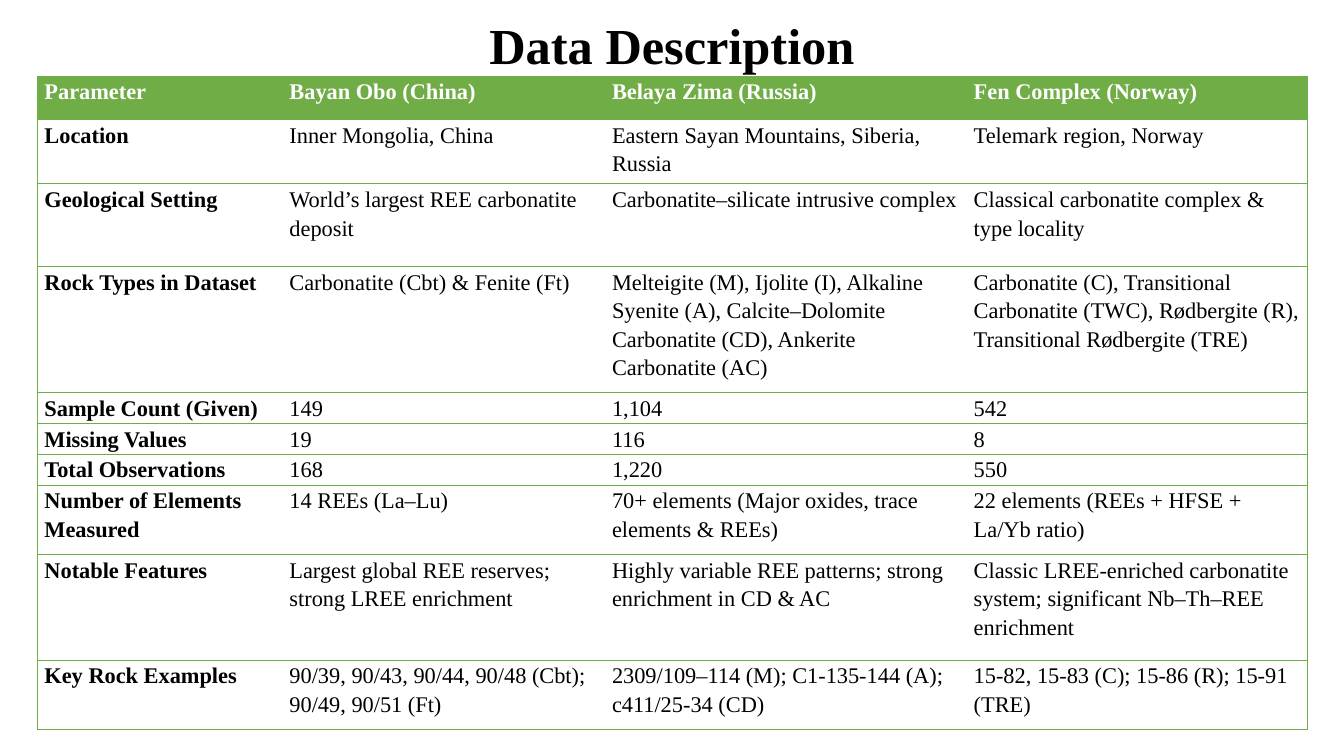
from typing import NamedTuple

from lxml.etree import SubElement
from pptx import Presentation
from pptx.dml.color import RGBColor
from pptx.enum.text import MSO_AUTO_SIZE as Fit, PP_ALIGN as Align
from pptx.oxml.ns import qn
from pptx.table import Table, _Cell as Cell
from pptx.text.text import _Paragraph as Para
from pptx.util import Pt

GREEN = RGBColor(0x70, 0xAD, 0x47)
WHITE = RGBColor(0xFF, 0xFF, 0xFF)
BLACK = RGBColor(0, 0, 0)
FONT = "Times New Roman"


class Row(NamedTuple):
    height: float
    texts: tuple[str, str, str, str]


WIDTHS = (175, 230.4, 258.4, 243.4)
ROWS = (
    Row(31, ("Parameter", "Bayan Obo (China)", "Belaya Zima (Russia)",
             "Fen Complex (Norway)")),
    Row(46, ("Location", "Inner Mongolia, China",
             "Eastern Sayan Mountains, Siberia, Russia",
             "Telemark region, Norway")),
    Row(59, ("Geological Setting", "World’s largest REE carbonatite deposit",
             "Carbonatite–silicate intrusive complex",
             "Classical carbonatite complex & type locality")),
    Row(90, ("Rock Types in Dataset", "Carbonatite (Cbt) & Fenite (Ft)",
             "Melteigite (M), Ijolite (I), Alkaline Syenite (A), "
             "Calcite–Dolomite Carbonatite (CD), Ankerite Carbonatite (AC)",
             "Carbonatite (C), Transitional Carbonatite (TWC), "
             "Rødbergite (R), Transitional Rødbergite (TRE)")),
    Row(22, ("Sample Count (Given)", "149", "1,104", "542")),
    Row(22, ("Missing Values", "19", "116", "8")),
    Row(22, ("Total Observations", "168", "1,220", "550")),
    Row(49.5, ("Number of Elements Measured", "14 REEs (La–Lu)",
               "70+ elements (Major oxides, trace elements & REEs)",
               "22 elements (REEs + HFSE + La/Yb ratio)")),
    Row(75.5, ("Notable Features",
               "Largest global REE reserves; strong LREE enrichment",
               "Highly variable REE patterns; strong enrichment in CD & AC",
               "Classic LREE-enriched carbonatite system; "
               "significant Nb–Th–REE enrichment")),
    Row(49.5, ("Key Rock Examples",
               "90/39, 90/43, 90/44, 90/48 (Cbt); 90/49, 90/51 (Ft)",
               "2309/109–114 (M); C1-135-144 (A); c411/25-34 (CD)",
               "15-82, 15-83 (C); 15-86 (R); 15-91 (TRE)")),
)


def style(para: Para, size: float, color: RGBColor, bold: bool) -> None:
    para.line_spacing = 1.15
    para.space_after = Pt(8)
    for run in para.runs:
        font = run.font
        font.name = FONT
        font.size = Pt(size)
        font.bold = bold
        font.color.rgb = color


def edge(cell: Cell, shown: str) -> None:
    """Draw the sides named in shown (of L, R, T, B) and clear the rest."""
    props = cell._tc.get_or_add_tcPr()
    for side in "LRTB":
        line = SubElement(props, qn(f"a:ln{side}"), w=str(Pt(0.5)))
        if side in shown:
            fill = SubElement(line, qn("a:solidFill"))
            SubElement(fill, qn("a:srgbClr"), val=str(GREEN))
        else:
            SubElement(line, qn("a:noFill"))


def fill_cell(table: Table, row: int, col: int, text: str) -> None:
    cell = table.cell(row, col)
    head = row == 0
    cell.margin_left = cell.margin_right = Pt(5)
    cell.margin_top = cell.margin_bottom = Pt(0)
    edge(cell, "TB" + {0: "L", len(WIDTHS) - 1: "R"}.get(col, ""))
    cell.fill.solid()
    cell.fill.fore_color.rgb = GREEN if head else WHITE
    cell.text_frame.text = text
    style(cell.text_frame.paragraphs[0], 16, WHITE if head else BLACK,
          head or col == 0)


def main() -> None:
    deck = Presentation()
    deck.slide_width, deck.slide_height = Pt(960), Pt(540)
    shapes = deck.slides.add_slide(deck.slide_layouts[6]).shapes

    frame = shapes.add_textbox(Pt(240), Pt(0), Pt(480), Pt(54)).text_frame
    frame.word_wrap = True
    frame.auto_size = Fit.SHAPE_TO_FIT_TEXT
    frame.text = "Data Description"
    title = frame.paragraphs[0]
    title.alignment = Align.CENTER
    title.space_before = Pt(12)
    style(title, 36, BLACK, True)

    high = sum(row.height for row in ROWS)
    table = shapes.add_table(len(ROWS), len(WIDTHS), Pt(26.8), Pt(54.3),
                             Pt(sum(WIDTHS)), Pt(high)).table
    table.horz_banding = False
    for col, width in enumerate(WIDTHS):
        table.columns[col].width = Pt(width)
    for num, row in enumerate(ROWS):
        table.rows[num].height = Pt(row.height)
        for col, text in enumerate(row.texts):
            fill_cell(table, num, col, text)

    deck.save("out.pptx")


if __name__ == "__main__":
    main()
